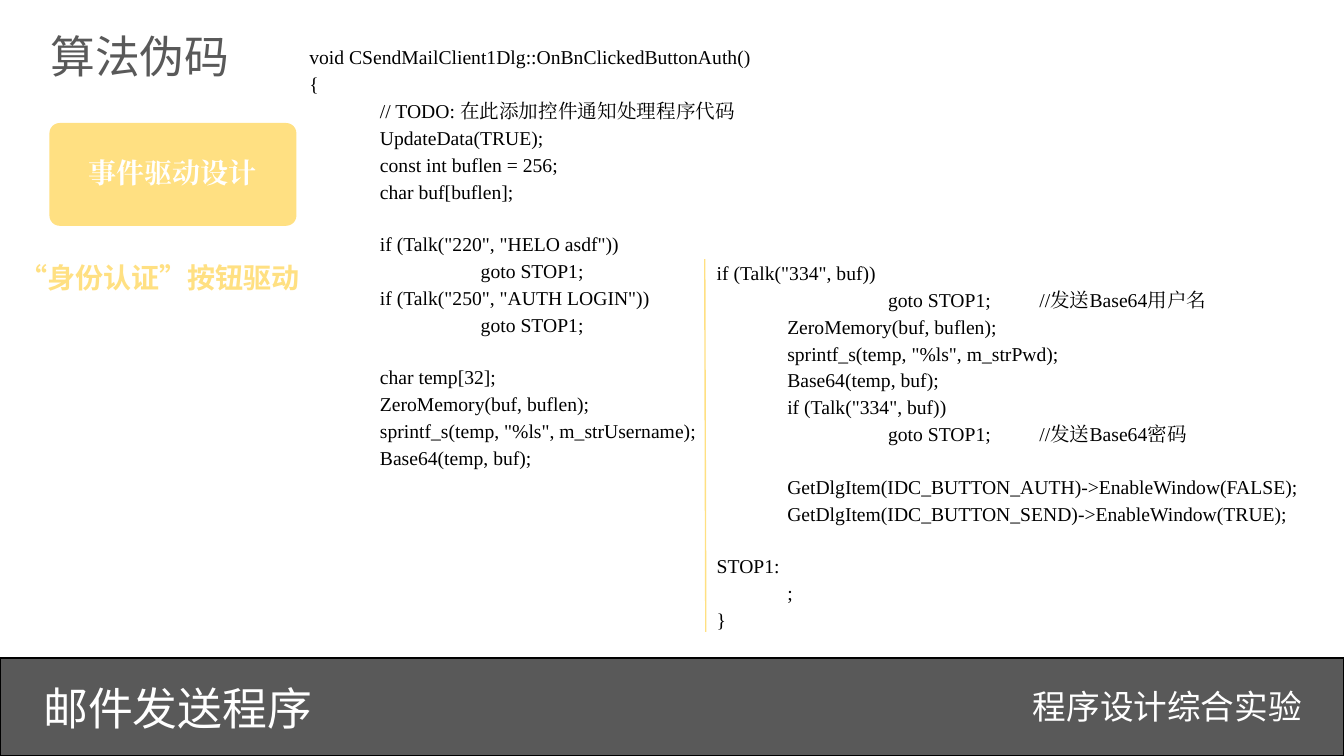
from lxml import etree
from pptx import Presentation
from pptx.dml.color import RGBColor
from pptx.enum.shapes import MSO_CONNECTOR, MSO_SHAPE
from pptx.enum.text import MSO_ANCHOR, PP_ALIGN
from pptx.oxml.ns import qn
from pptx.util import Inches, Pt

GRAY = RGBColor(0x59, 0x59, 0x59)
AMBER = RGBColor(0xFF, 0xE0, 0x82)
WHITE = RGBColor(0xFF, 0xFF, 0xFF)
BLACK = RGBColor(0, 0, 0)

SANS = "Noto Sans CJK SC"
SERIF = "Times New Roman"

LEFT, CENTER, RIGHT = PP_ALIGN.LEFT, PP_ALIGN.CENTER, PP_ALIGN.RIGHT
JUSTIFY = PP_ALIGN.JUSTIFY
MIDDLE = MSO_ANCHOR.MIDDLE
RECT, ROUND = MSO_SHAPE.RECTANGLE, MSO_SHAPE.ROUNDED_RECTANGLE
STRAIGHT = MSO_CONNECTOR.STRAIGHT

# Code layout: first-line indent by depth, gap before a line, gap after a break
DEPTHS = [0.3, 1, 2]
GAP, BREAK = Pt(2.35), Pt(20.8)
NOTE_TAB = 6.17

# Each line is (depth, text); None marks a break before the next line
LOGIN_CODE = [
    (0, "void CSendMailClient1Dlg::OnBnClickedButtonAuth()"),
    (0, "{"),
    (1, "// TODO: 在此添加控件通知处理程序代码"),
    (1, "UpdateData(TRUE);"),
    (1, "const int buflen = 256;"),
    (1, "char buf[buflen];"),
    None,
    (1, 'if (Talk("220", "HELO asdf"))'),
    (2, "goto STOP1;"),
    (1, 'if (Talk("250", "AUTH LOGIN"))'),
    (2, "goto STOP1;"),
    None,
    (1, "char temp[32];"),
    (1, "ZeroMemory(buf, buflen);"),
    (1, 'sprintf_s(temp, "%ls", m_strUsername);'),
    (1, "Base64(temp, buf);"),
]
REPLY_CODE = [
    (0, 'if (Talk("334", buf))'),
    (2, "goto STOP1;\t//发送Base64用户名"),
    (1, "ZeroMemory(buf, buflen);"),
    (1, 'sprintf_s(temp, "%ls", m_strPwd);'),
    (1, "Base64(temp, buf);"),
    (1, 'if (Talk("334", buf))'),
    (2, "goto STOP1;\t//发送Base64密码"),
    None,
    (1, "GetDlgItem(IDC_BUTTON_AUTH)->EnableWindow(FALSE);"),
    (1, "GetDlgItem(IDC_BUTTON_SEND)->EnableWindow(TRUE);"),
    None,
    (0, "STOP1:"),
    (1, ";"),
    (0, "}"),
]


def style(para, size, color, font, align=LEFT, bold=False):
    para.alignment = align
    for run in para.runs:
        run.font.size = Pt(size)
        run.font.bold = bold
        run.font.name = font
        run.font.color.rgb = color
        east = etree.SubElement(run.font._element, qn("a:ea"))
        east.set("typeface", font)


def add_block(slide, kind, box, fill):
    block = slide.shapes.add_shape(kind, *map(Inches, box))
    block.shadow.inherit = False
    block.fill.solid()
    block.fill.fore_color.rgb = fill
    block.line.fill.background()
    return block


def add_label(slide, box, text, size, color, align=LEFT, bold=False, wrap=True):
    frame = slide.shapes.add_textbox(*map(Inches, box)).text_frame
    frame.word_wrap = wrap
    frame.text = text
    style(frame.paragraphs[0], size, color, SANS, align, bold)


def add_code(slide, box, lines):
    frame = slide.shapes.add_textbox(*map(Inches, box)).text_frame
    frame.word_wrap = True
    para, gap = frame.paragraphs[0], GAP
    for line in lines:
        if line is None:
            gap = BREAK
            continue
        depth, text = line
        if para.text:
            para = frame.add_paragraph()
        para.text = text
        para.space_before = gap
        gap = GAP
        style(para, 14, BLACK, SERIF, JUSTIFY)
        props = para._p.get_or_add_pPr()
        props.set("marL", "0")
        props.set("indent", str(Inches(DEPTHS[depth])))
        # Side notes end at a shared right tab
        if "\t" in text:
            tabs = etree.SubElement(props, qn("a:tabLst"))
            etree.SubElement(tabs, qn("a:tab"), pos=str(Inches(NOTE_TAB)), algn="r")


def add_footer(slide, box):
    x, y, w, h = box
    bar = add_block(slide, RECT, box, GRAY)
    bar.line.color.rgb = BLACK
    bar.line.width = Pt(1)
    add_label(slide, (x + 0.33, y + 0.17, 7.51, 0.64), "邮件发送程序", 32, WHITE)
    add_label(slide, (x + w - 4.08, y + 0.23, 3.76, 0.5), "程序设计综合实验",
              24, WHITE, RIGHT)


def add_topic(slide, box):
    x, y, w, h = box
    add_label(slide, (x, y, w, 0.64), "算法伪码", 32, GRAY, wrap=False)
    # Topic card
    card = add_block(slide, ROUND, (x + 0.09, y + 0.98, 2.45, 1.02), AMBER)
    card.adjustments[0] = 0.1
    frame = card.text_frame
    frame.word_wrap = True
    frame.vertical_anchor = MIDDLE
    frame.text = "事件驱动设计"
    style(frame.paragraphs[0], 20, WHITE, SERIF, CENTER, True)
    frame.paragraphs[0].line_spacing = 0.9
    # Trigger below the card
    add_label(slide, (x - 0.32, y + 2.3, 3.01, 0.44), "“身份认证”按钮驱动",
              20, AMBER, CENTER, True, False)


def add_rule(slide, start, end):
    rule = slide.shapes.add_connector(STRAIGHT, *map(Inches, start + end))
    rule.line.color.rgb = AMBER
    rule.line.width = Pt(1)
    etree.SubElement(rule._element.spPr, qn("a:effectLst"))


def main():
    deck = Presentation()
    deck.slide_width, deck.slide_height = Inches(13.33), Inches(7.5)
    slide = deck.slides.add_slide(deck.slide_layouts[6])
    add_footer(slide, (0, 6.53, 13.33, 0.97))
    add_topic(slide, (0.4, 0.24, 2, 2.74))
    add_code(slide, (2.67, 0.4, 6.67, 4.29), LOGIN_CODE)
    add_code(slide, (6.71, 2.54, 6.69, 3.76), REPLY_CODE)
    add_rule(slide, (6.99, 2.57), (7, 6.27))
    deck.save("out.pptx")


if __name__ == "__main__":
    main()
